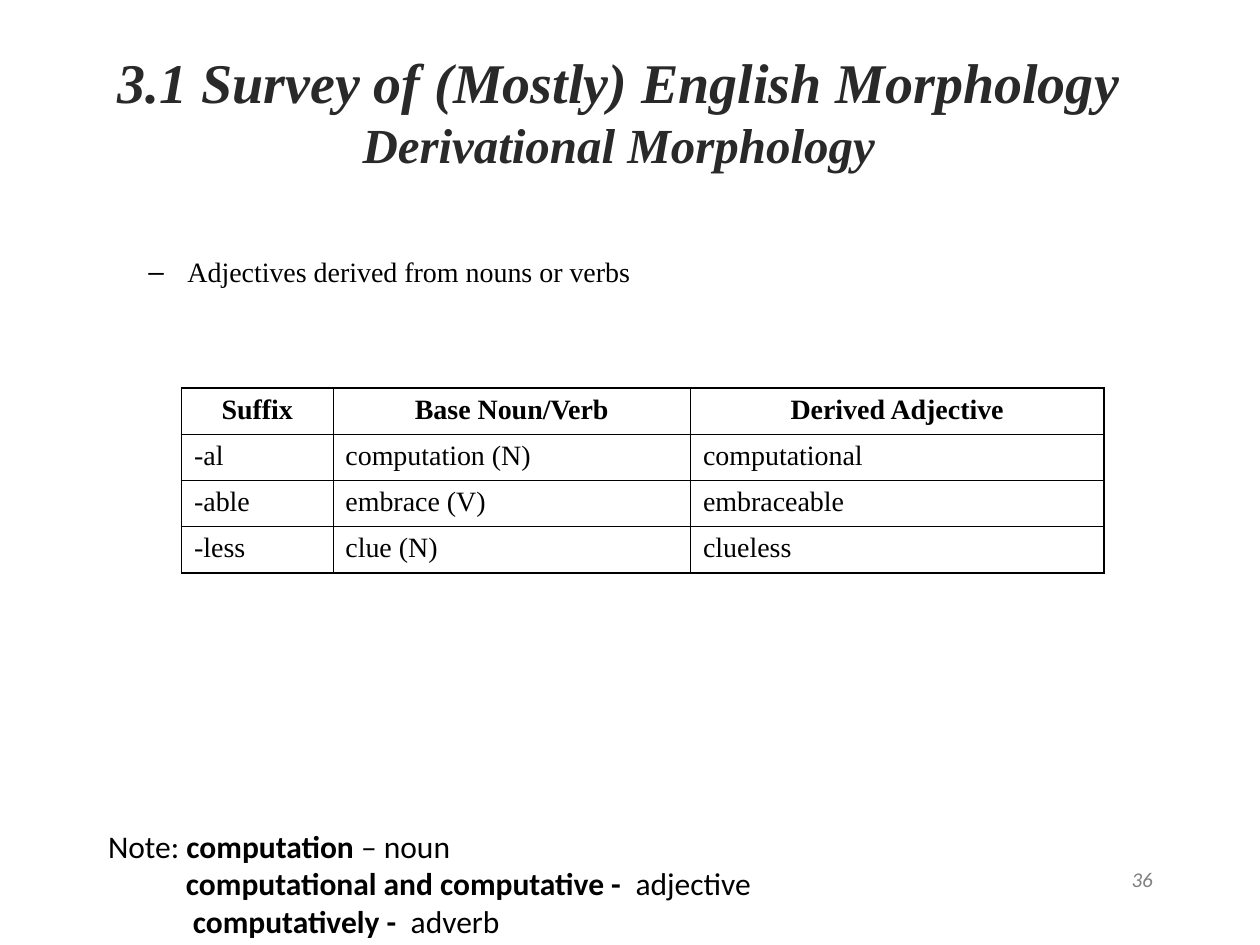
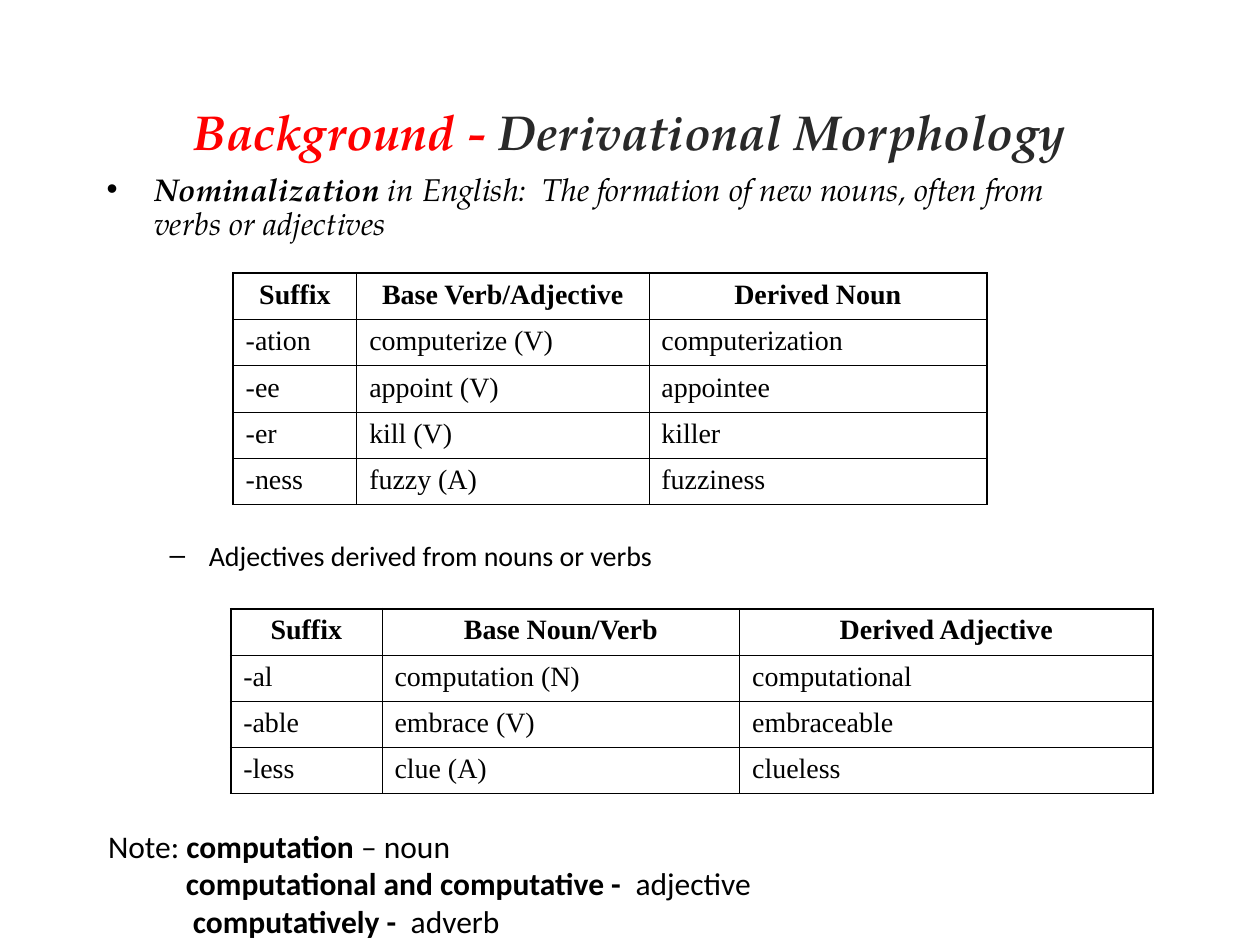
from dataclasses import dataclass

from lxml.etree import SubElement
from pptx import Presentation
from pptx.dml.color import RGBColor
from pptx.enum.text import MSO_ANCHOR as Anchor, MSO_AUTO_SIZE as AutoSize, PP_ALIGN as Align
from pptx.oxml.ns import qn
from pptx.util import Cm, Pt

# Shared colours, fonts and measures
BLACK = RGBColor(0x00, 0x00, 0x00)
CHARCOAL = RGBColor(0x29, 0x29, 0x29)
GRAY = RGBColor(0x80, 0x80, 0x80)
RED = RGBColor(0xFF, 0x00, 0x00)
TIMES, CALIBRI, PAGELLA = "Times New Roman", "Calibri", "TeX Gyre Pagella"
ROW_HEIGHT = 0.93
OUTER_LINE, INNER_LINE = Pt(1.08), Pt(0.45)


@dataclass
class Area:
    """A place on the page, in centimetres."""
    left: float
    top: float
    width: float
    height: float


@dataclass
class Bullet:
    """A bullet character with its text margin and hanging indent in centimetres."""
    char: str
    margin: float
    hanging: float
    level: int = 0


@dataclass
class SuffixTable:
    left: float
    top: float
    widths: tuple[float, ...]
    rows: list[tuple[str, ...]]


DOT = Bullet("•", 0.97, 0.97)
DASH = Bullet("–", 2.06, 0.79, level=1)
ADJECTIVE_WIDTHS = (3.05, 7.21, 8.33)
NOUN_WIDTHS = (2.49, 5.89, 6.81)
NOUN_ROWS = [
    ("Suffix", "Base Verb/Adjective", "Derived Noun"),
    ("-ation", "computerize (V)", "computerization"),
    ("-ee", "appoint (V)", "appointee"),
    ("-er", "kill (V)", "killer"),
    ("-ness", "fuzzy (A)", "fuzziness"),
]


def adjective_rows(clue_class: str) -> list[tuple[str, ...]]:
    return [
        ("Suffix", "Base Noun/Verb", "Derived Adjective"),
        ("-al", "computation (N)", "computational"),
        ("-able", "embrace (V)", "embraceable"),
        ("-less", f"clue ({clue_class})", "clueless"),
    ]


def add_span(para, text: str, *, font: str, size: float, color: RGBColor = BLACK,
             bold: bool = False, italic: bool = False) -> None:
    span = para.add_run()
    span.text = text
    span.font.name = font
    span.font.size = Pt(size)
    span.font.color.rgb = color
    span.font.bold = bold
    span.font.italic = italic


def add_box(page, area: Area, anchor=Anchor.TOP, align=Align.LEFT):
    """Add a wrapping text box and return its frame and first paragraph."""
    box = page.shapes.add_textbox(Cm(area.left), Cm(area.top), Cm(area.width), Cm(area.height))
    frame = box.text_frame
    frame.word_wrap = True
    frame.vertical_anchor = anchor
    frame.paragraphs[0].alignment = align
    return frame, frame.paragraphs[0]


def add_bullet(para, bullet: Bullet) -> None:
    para.level = bullet.level
    para.line_spacing = 0.9
    properties = para._p.get_or_add_pPr()
    properties.set("marL", str(Cm(bullet.margin)))
    properties.set("indent", str(-Cm(bullet.hanging)))
    color = SubElement(properties, qn("a:buClr"))
    SubElement(color, qn("a:srgbClr"), val=str(BLACK))
    SubElement(properties, qn("a:buFont"), typeface="Arial")
    SubElement(properties, qn("a:buChar"), char=bullet.char)


def add_title(page, area: Area):
    return add_box(page, area, Anchor.MIDDLE, Align.CENTER)[1]


def add_adjective_heading(page, left: float, top: float, font: str) -> None:
    _, para = add_box(page, Area(left, top, 20.8, 1.02))
    add_bullet(para, DASH)
    add_span(para, "Adjectives derived from nouns or verbs", font=font, size=16)


def set_border(cell, side: str, width: int) -> None:
    line = SubElement(cell._tc.get_or_add_tcPr(), qn(f"a:ln{side}"), w=str(width))
    fill = SubElement(line, qn("a:solidFill"))
    SubElement(fill, qn("a:srgbClr"), val=str(BLACK))


def add_suffix_table(page, data: SuffixTable) -> None:
    last_row, last_column = len(data.rows) - 1, len(data.widths) - 1
    frame = page.shapes.add_table(
        len(data.rows), len(data.widths), Cm(data.left), Cm(data.top),
        Cm(sum(data.widths)), Cm(ROW_HEIGHT * len(data.rows)))
    table = frame.table
    table.first_row = table.horz_banding = False
    for column, width in zip(table.columns, data.widths):
        column.width = Cm(width)
    for r, texts in enumerate(data.rows):
        table.rows[r].height = Cm(ROW_HEIGHT)
        for c, text in enumerate(texts):
            cell = table.cell(r, c)
            # Heavier lines run around the outside
            outside = {"L": c == 0, "R": c == last_column, "T": r == 0, "B": r == last_row}
            for side, is_outer in outside.items():
                set_border(cell, side, OUTER_LINE if is_outer else INNER_LINE)
            cell.fill.background()
            para = cell.text_frame.paragraphs[0]
            para.alignment = Align.CENTER if r == 0 else Align.LEFT
            add_span(para, text, font=TIMES, size=16, bold=r == 0)


def add_note(page) -> None:
    frame, para = add_box(page, Area(1.93, 16.54, 22.99, 2.54))
    frame.auto_size = AutoSize.SHAPE_TO_FIT_TEXT
    add_span(para, "Note: ", font=CALIBRI, size=18)
    add_span(para, "computation", font=CALIBRI, size=18, bold=True)
    add_span(para, " – noun", font=CALIBRI, size=18)
    for indent, words, word_class in (
            (1.57, "computational and computative -  ", "adjective"),
            (1.71, "computatively -  ", "adverb")):
        para = frame.add_paragraph()
        para._p.get_or_add_pPr().set("marL", str(Cm(indent)))
        add_span(para, words, font=CALIBRI, size=18, bold=True)
        add_span(para, word_class, font=CALIBRI, size=18)


def build_adjectives_page(page) -> None:
    # Page number
    _, para = add_box(page, Area(18.21, 17.35, 5.28, 1.27), align=Align.RIGHT)
    add_span(para, "36", font=CALIBRI, size=12, color=GRAY, italic=True)

    # Two-line title
    title = add_title(page, Area(1.68, 0.64, 21.59, 3.18))
    style = dict(font=TIMES, color=CHARCOAL, bold=True, italic=True)
    add_span(title, "3.1 Survey of (Mostly) English Morphology", size=32, **style)
    title.add_line_break()
    add_span(title, "Derivational Morphology", size=28, **style)

    add_adjective_heading(page, 1.47, 5.08, TIMES)
    add_suffix_table(page, SuffixTable(3.66, 7.82, ADJECTIVE_WIDTHS, adjective_rows("N")))
    add_note(page)


def build_background_page(page) -> None:
    # Two-colour title
    title = add_title(page, Area(1.9, 1.7, 21.59, 1.88))
    style = dict(font=PAGELLA, size=28, bold=True, italic=True)
    add_span(title, "Background -", color=RED, **style)
    add_span(title, " Derivational Morphology", color=CHARCOAL, **style)

    # Nominalization
    _, para = add_box(page, Area(1.9, 3.38, 20.4, 2.59))
    add_bullet(para, DOT)
    add_span(para, "Nominalization", font=PAGELLA, size=18, bold=True, italic=True)
    add_span(para, " in English:  The formation of new nouns, often from verbs or adjectives",
             font=PAGELLA, size=18, italic=True)
    add_suffix_table(page, SuffixTable(4.7, 5.51, NOUN_WIDTHS, NOUN_ROWS))

    # Adjectives
    add_adjective_heading(page, 1.9, 10.8, CALIBRI)
    add_suffix_table(page, SuffixTable(4.65, 12.27, ADJECTIVE_WIDTHS, adjective_rows("A")))
    add_note(page)


def main() -> None:
    deck = Presentation()
    deck.slide_width, deck.slide_height = Cm(25.4), Cm(19.05)
    blank = deck.slide_layouts[6]
    for build_page in (build_adjectives_page, build_background_page):
        build_page(deck.slides.add_slide(blank))
    deck.save("out.pptx")


if __name__ == "__main__":
    main()
